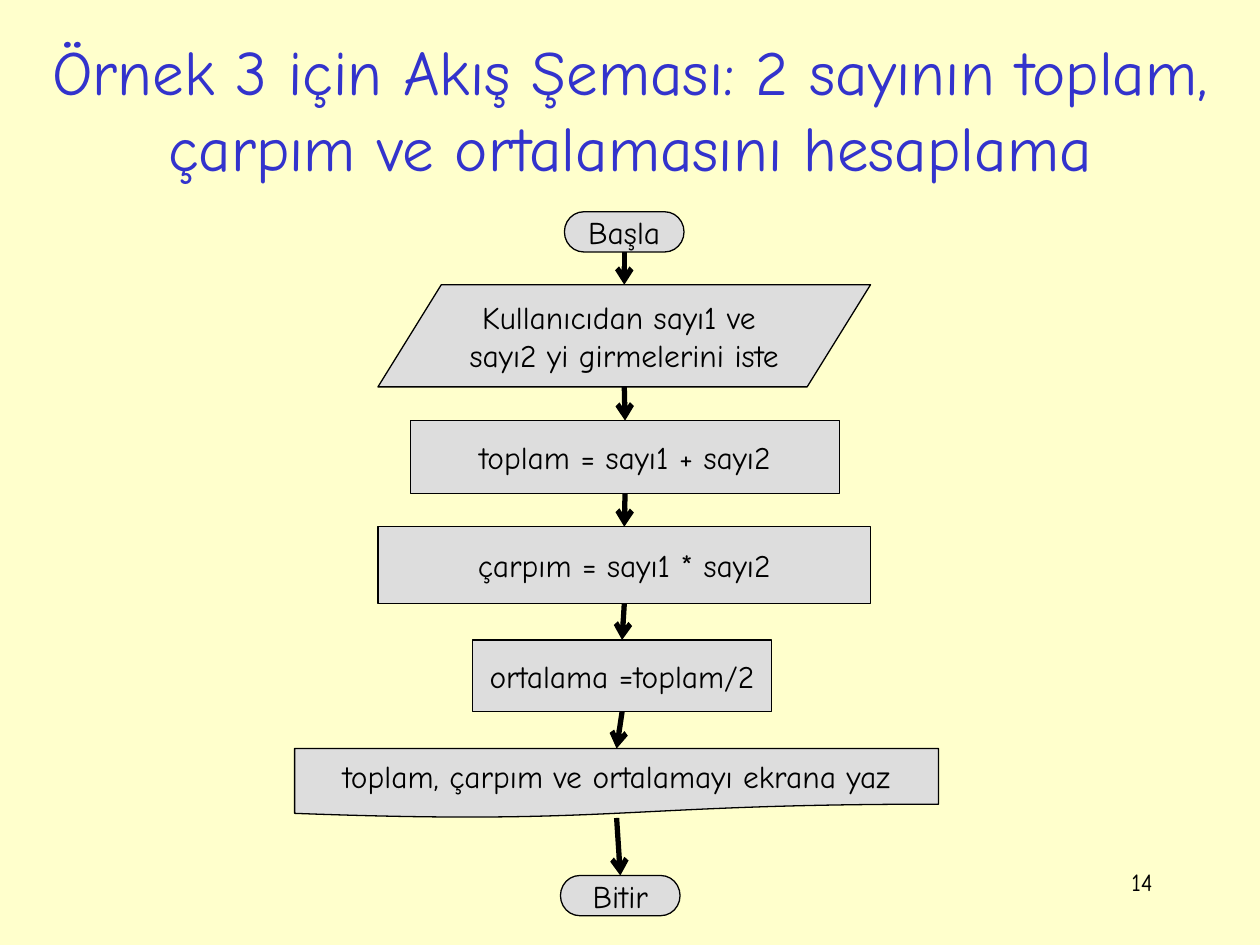
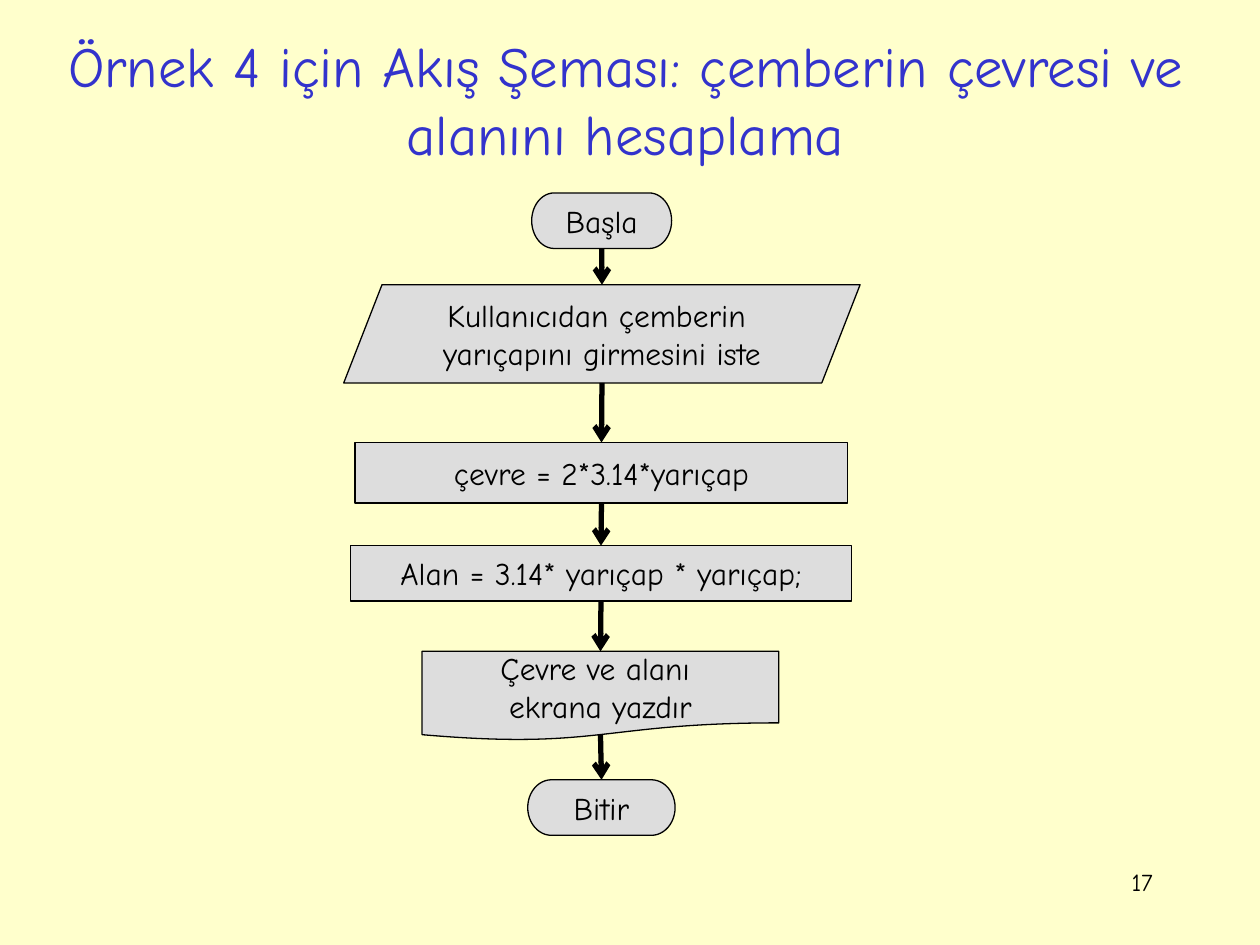
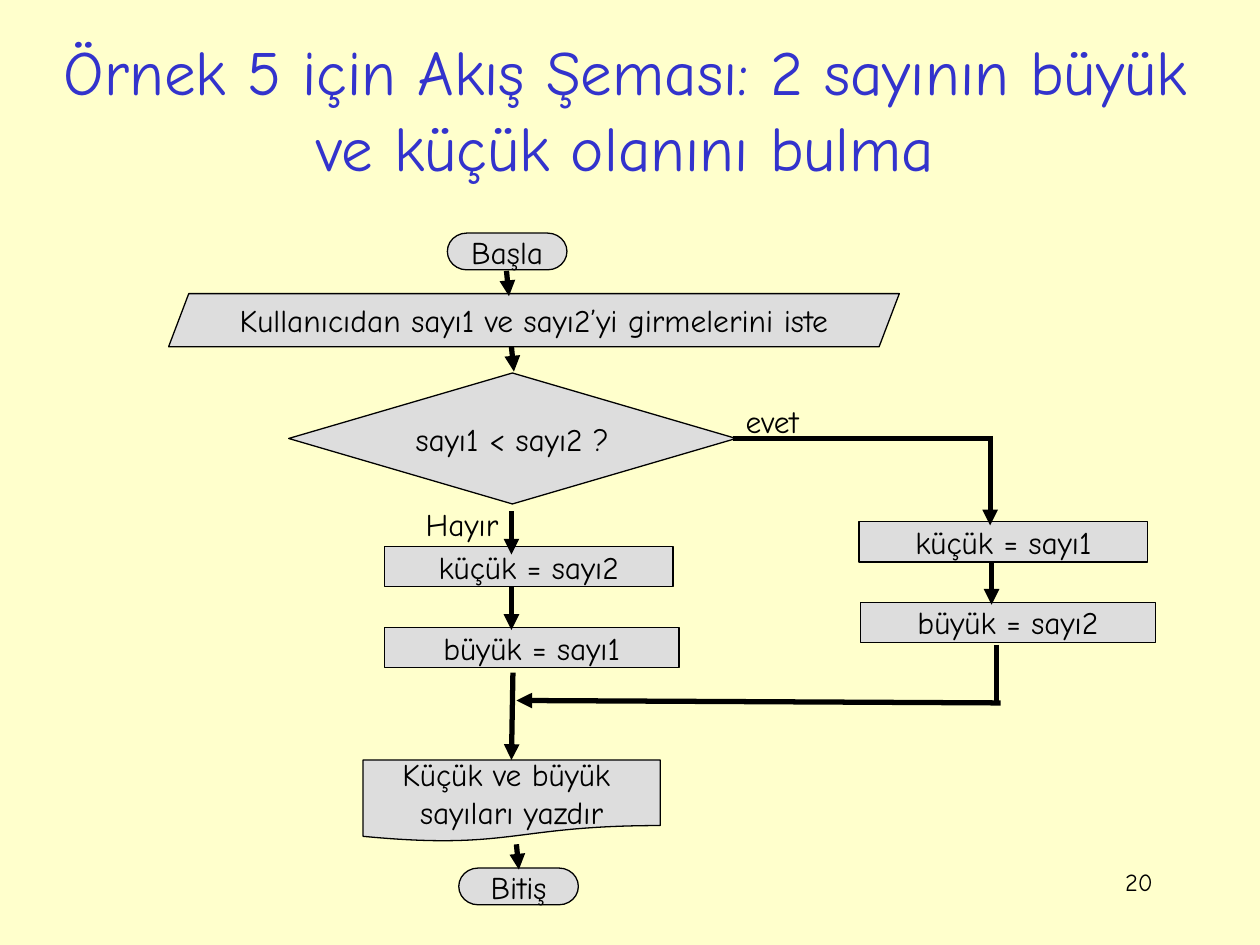
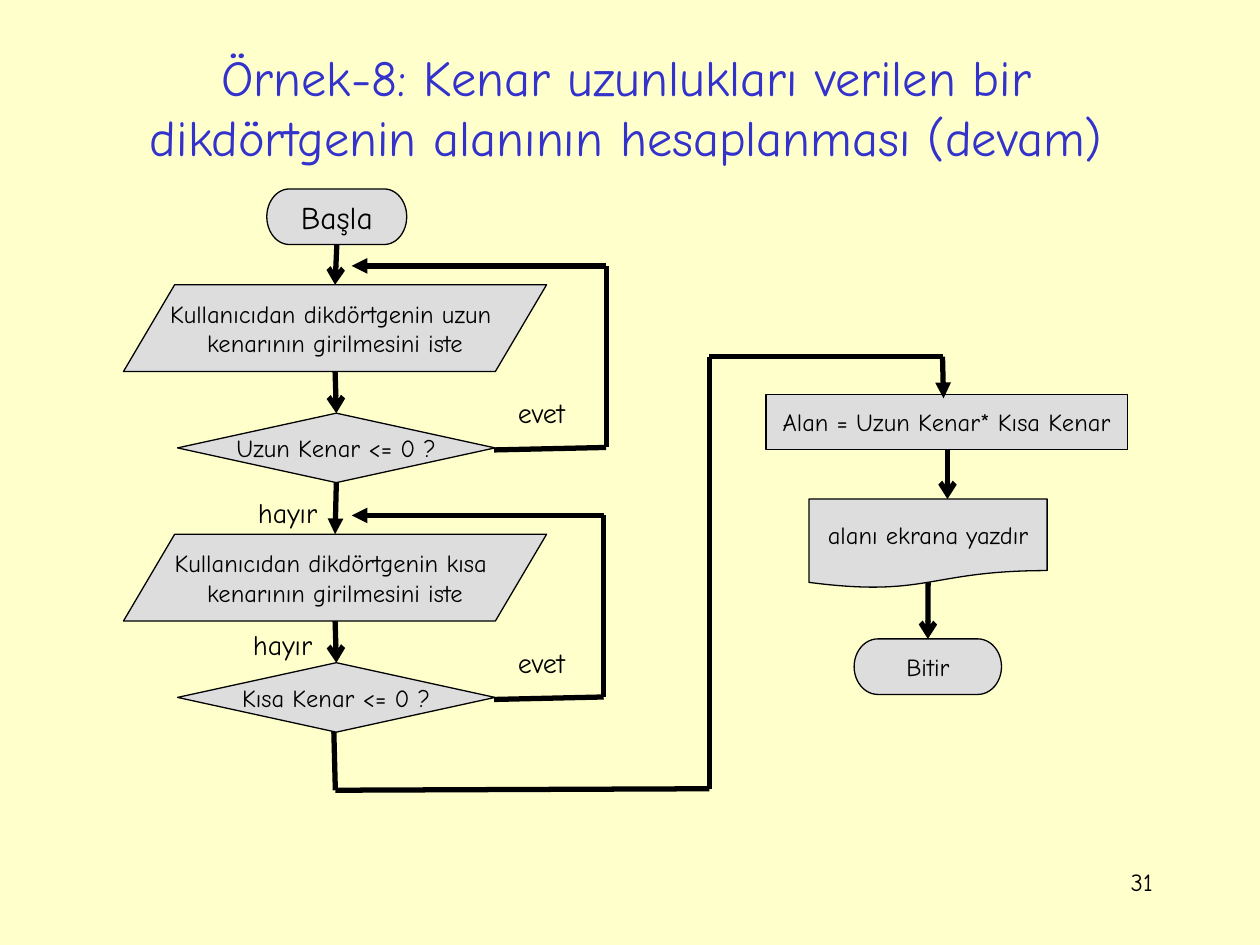
from itertools import pairwise
from lxml.etree import SubElement as Sub
from pptx import Presentation
from pptx.dml.color import RGBColor as Rgb
from pptx.enum.shapes import MSO_CONNECTOR as Wire, MSO_SHAPE as Kind
from pptx.enum.text import MSO_ANCHOR as Anchor, MSO_AUTO_SIZE as Fit, PP_ALIGN as Align
from pptx.oxml.ns import qn
from pptx.util import Cm, Pt

INK = {"page": "FFFFCC", "title": "3333CC", "box": "DDDDDD", "line": "000000"}
FONT = "Comic Neue"


def tint(name):
    return Rgb.from_string(INK[name])


def put(frame, text, size=18, ink="line", align=Align.CENTER, anchor=Anchor.MIDDLE, wrap=False):
    frame.word_wrap = wrap
    frame.vertical_anchor = anchor
    for i, line in enumerate(text.split("\n")):
        para = frame.paragraphs[0] if i == 0 else frame.add_paragraph()
        para.alignment = align
        run = para.add_run()
        run.text = line
        run.font.name = FONT
        run.font.size = Pt(size)
        run.font.color.rgb = tint(ink)


class Deck:
    def __init__(self):
        self.prs = Presentation()
        self.prs.slide_width = Cm(25.4)
        self.prs.slide_height = Cm(19.05)

    def page(self, number, title, spot, size):
        self.slide = self.prs.slides.add_slide(self.prs.slide_layouts[6])
        fill = self.slide.background.fill
        fill.solid()
        fill.fore_color.rgb = tint("page")
        self.text(str(number), (18.21, 17.35, 5.28, 1.27), size=14,
                  align=Align.RIGHT, anchor=Anchor.TOP, wrap=True)
        self.text(title, spot, size=size, ink="title", wrap=True)

    def text(self, text, spot, **form):
        box = self.slide.shapes.add_textbox(*map(Cm, spot))
        put(box.text_frame, text, **form)
        return box

    def label(self, text, spot, size=18, wrap=False):
        box = self.text(text, spot, size=size, align=Align.LEFT, anchor=Anchor.TOP, wrap=wrap)
        box.text_frame.auto_size = Fit.SHAPE_TO_FIT_TEXT

    def node(self, kind, text, spot, size=18, slant=None):
        box = self.slide.shapes.add_shape(kind, *map(Cm, spot))
        if slant is not None:
            box.adjustments[0] = slant
        box.shadow.inherit = False
        box.fill.solid()
        box.fill.fore_color.rgb = tint("box")
        box.line.color.rgb = tint("line")
        box.line.width = Pt(0.75)
        put(box.text_frame, text, size=size)
        return box

    def ends(self, text, spot, **form):
        return self.node(Kind.FLOWCHART_TERMINATOR, text, spot, **form)

    def ask(self, text, spot, slant, **form):
        return self.node(Kind.PARALLELOGRAM, text, spot, slant=slant, **form)

    def step(self, text, spot, **form):
        return self.node(Kind.RECTANGLE, text, spot, **form)

    def test(self, text, spot, **form):
        return self.node(Kind.FLOWCHART_DECISION, text, spot, **form)

    def show(self, text, spot, **form):
        return self.node(Kind.FLOWCHART_DOCUMENT, text, spot, **form)

    def wire(self, start, end, tip=None):
        line = self.slide.shapes.add_connector(Wire.STRAIGHT, *start, *end)
        line.line.color.rgb = tint("line")
        line.line.width = Pt(3)
        if tip:
            Sub(line.line._get_or_add_ln(), qn("a:tailEnd"), type=tip)
        Sub(line._element.spPr, qn("a:effectLst"))

    def route(self, *spots, tip="triangle"):
        legs = list(pairwise([(Cm(x), Cm(y)) for x, y in spots]))
        for leg in legs:
            self.wire(*leg, tip=tip if leg is legs[-1] else None)

    def link(self, top, low, tip="arrow", lift=0):
        self.wire((top.left + top.width // 2, top.top + top.height - Cm(lift)),
                  (low.left + low.width // 2, low.top), tip)

    def chain(self, *nodes):
        for top, low in pairwise(nodes):
            self.link(top, low)


def sums(deck):
    deck.page(14, "Örnek 3 için Akış Şeması: 2 sayının toplam, çarpım ve ortalamasını hesaplama",
              (0, 0.66, 25.4, 3.05), 36)
    deck.chain(
        deck.ends("Başla", (11.38, 4.27, 2.41, 0.81)),
        deck.ask("Kullanıcıdan sayı1 ve \nsayı2 yi girmelerini iste", (7.62, 5.74, 9.93, 2.06), 0.62),
        deck.step("toplam = sayı1 + sayı2", (8.28, 8.48, 8.64, 1.47)),
        deck.step("çarpım = sayı1 * sayı2", (7.62, 10.62, 9.93, 1.55)),
        deck.step("ortalama =toplam/2", (9.53, 12.9, 6.02, 1.45)),
        deck.show("toplam, çarpım ve ortalamayı ekrana yaz", (5.94, 15.09, 12.98, 1.4)),
        deck.ends("Bitir", (11.3, 17.65, 2.41, 0.81)))


def circle(deck):
    deck.page(17, "Örnek 4 için Akış Şeması: çemberin çevresi ve alanını hesaplama",
              (0.48, 0.66, 24.26, 2.67), 32.4)
    out = deck.show("Çevre ve alanı \nekrana yazdır", (8.51, 13.13, 7.19, 1.8))
    deck.chain(
        deck.ends("Başla", (10.72, 3.89, 2.82, 1.12)),
        deck.ask("Kullanıcıdan çemberin \nyarıçapını girmesini iste", (6.93, 5.74, 10.41, 1.98), 0.39),
        deck.step("çevre = 2*3.14*yarıçap", (7.16, 8.92, 9.93, 1.22)),
        deck.step("Alan = 3.14* yarıçap * yarıçap;", (7.06, 11, 10.11, 1.12)),
        out)
    deck.link(out, deck.ends("Bitir", (10.64, 15.72, 2.97, 1.12)), lift=0.12)


def compare(deck):
    deck.page(20, "Örnek 5 için Akış Şeması: 2 sayının büyük ve küçük olanını bulma",
              (0.48, 0.66, 24.26, 3.05), 36)
    deck.ends("Başla", (9.02, 4.7, 2.41, 0.74))
    deck.ask("Kullanıcıdan sayı1 ve sayı2’yi girmelerini iste", (3.4, 5.92, 14.73, 1.07), 0.38)
    deck.test("sayı1 < sayı2 ?", (5.82, 7.52, 9.02, 2.64))
    deck.step("küçük = sayı1", (17.32, 10.52, 5.82, 0.81))
    deck.step("büyük = sayı2", (17.35, 12.14, 5.94, 0.81))
    deck.step("küçük = sayı2", (7.75, 11.02, 5.82, 0.81))
    deck.step("büyük = sayı1", (7.75, 12.65, 5.94, 0.81))
    deck.show("Küçük ve büyük \nsayıları yazdır", (7.32, 15.32, 5.99, 1.65))
    deck.ends("Bitiş", (9.25, 17.5, 2.41, 0.74))
    deck.route((14.78, 8.84), (19.94, 8.84), tip=None)
    deck.route((20.09, 13), (20.09, 14.17), tip=None)
    for start, end in (
            ((10.21, 5.46), (10.26, 5.97)),
            ((10.31, 6.99), (10.36, 7.49)),
            ((10.31, 10.31), (10.31, 11.18)),
            ((10.31, 11.84), (10.31, 12.7)),
            ((10.34, 13.56), (10.31, 15.32)),
            ((10.41, 17.02), (10.46, 17.53)),
            ((19.96, 8.79), (19.96, 10.59)),
            ((19.99, 11.35), (19.99, 12.19)),
            ((20.17, 14.17), (10.41, 14.12))):
        deck.route(start, end)
    deck.label("evet", (14.78, 7.98, 1.83, 1.02))
    deck.label("Hayır", (8.33, 10.06, 3.02, 1.02), wrap=True)


def area(deck):
    deck.page(31, "Örnek-8: Kenar uzunlukları verilen bir dikdörtgenin alanının hesaplanması (devam)",
              (1.83, 0.38, 21.59, 3.53), 28.8)
    last, tip = deck.ends("Başla", (5.38, 3.81, 2.82, 1.12)), "arrow"
    for side, drop, edge in (("uzun", 0, 12.22), ("kısa", 5.03, 12.17)):
        ask = deck.ask(f"Kullanıcıdan dikdörtgenin {side} \nkenarının girilmesini iste",
                       (2.49, 5.74 + drop, 8.53, 1.75), 0.59, size=14)
        test = deck.test(f"{side.capitalize()} Kenar <= 0 ?", (3.58, 8.33 + drop, 6.4, 1.4), size=14)
        deck.link(last, ask, tip)
        deck.link(ask, test)
        deck.route((9.96, 9.07 + drop), (edge, 9.02 + drop), (edge, 5.36 + drop), (7.09, 5.36 + drop))
        deck.label("evet", (10.19, 7.85 + drop, 1.68, 0.94), size=16)
        last, tip = test, "triangle"
    for x, y in ((4.95, 9.86), (4.85, 12.52)):
        deck.label("hayır", (x, y, 1.88, 0.94), size=16)
    deck.step("Alan = Uzun Kenar* Kısa Kenar", (15.44, 7.95, 7.29, 1.12), size=14)
    out = deck.show("alanı ekrana yazdır", (16.31, 10.06, 4.8, 1.8), size=14)
    deck.link(out, deck.ends("Bitir", (17.22, 12.88, 2.97, 1.12), size=14), lift=0.12)
    deck.route((19.1, 9.07), (19.1, 10.06), tip="arrow")
    deck.route((6.73, 14.76), (6.76, 15.93), (14.3, 15.9), (14.3, 7.19), (19, 7.19), (19.02, 8.03))


deck = Deck()
for draw in (sums, circle, compare, area):
    draw(deck)
deck.prs.save("out.pptx")
